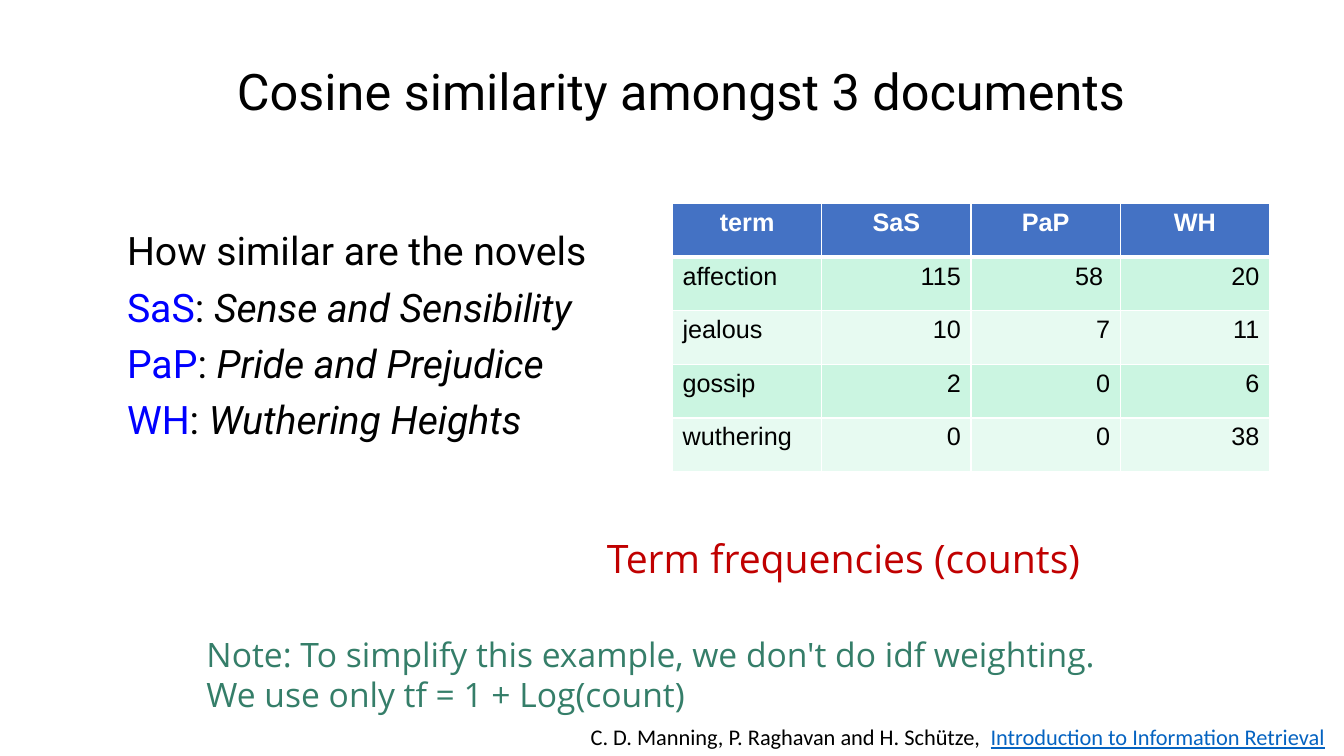
"""Build the slide on cosine similarity amongst three novels."""
from dataclasses import dataclass

from lxml.etree import SubElement
from pptx import Presentation
from pptx.dml.color import RGBColor
from pptx.enum.text import MSO_ANCHOR, MSO_AUTO_SIZE, PP_ALIGN
from pptx.oxml.ns import qn
from pptx.util import Inches, Pt


@dataclass(frozen=True)
class Theme:
    black: str = "000000"
    white: str = "FFFFFF"
    blue: str = "0000FF"
    red: str = "C00000"
    green: str = "357E69"
    link: str = "0563C1"
    head: str = "4472C4"
    dark: str = "CBF5E1"
    pale: str = "E7FAF1"
    main: str = "Roboto"
    side: str = "Open Sans"
    grid: str = "Arial"
    foot: str = "Calibri"
    title: int = 36
    body: int = 28
    note: int = 24
    cell: int = 18
    small: int = 16


@dataclass(frozen=True)
class Box:
    left: float
    top: float
    width: float
    height: float

    def place(self) -> tuple:
        return tuple(map(Inches, (self.left, self.top, self.width, self.height)))


@dataclass(frozen=True)
class Label:
    box: Box
    lines: tuple
    size: int
    face: str
    color: str


@dataclass(frozen=True)
class Novel:
    code: str
    name: str


THEME = Theme()
NOVELS = (
    Novel("SaS", "Sense and Sensibility"),
    Novel("PaP", "Pride and Prejudice"),
    Novel("WH", "Wuthering Heights"),
)
COUNTS = (
    ("term", *(novel.code for novel in NOVELS)),
    ("affection", "115", "58 ", "20"),
    ("jealous", "10", "7", "11"),
    ("gossip", "2", "0", "6"),
    ("wuthering", "0", "0", "38"),
)
LABELS = (
    Label(Box(5.92, 5.25, 5.19, 0.57), ("Term frequencies (counts)",),
          THEME.body, THEME.side, THEME.red),
    Label(Box(1.95, 6.24, 9.7, 0.91),
          ("Note: To simplify this example, we don't do idf weighting.",
           "We use only tf = 1 + Log(count)"),
          THEME.note, THEME.side, THEME.green),
    Label(Box(5.76, 7.13, 7.57, 0.37),
          ("C. D. Manning, P. Raghavan and H. Schütze,  ",),
          THEME.small, THEME.foot, THEME.black),
)


def write(para, text: str, *, size: int, face: str, color: str = THEME.black,
          bold: bool = False, italic: bool = False, under: bool = False) -> None:
    run = para.add_run()
    run.text = text
    font = run.font
    font.size, font.name = Pt(size), face
    font.bold, font.italic, font.underline = bold, italic, under
    font.color.rgb = RGBColor.from_string(color)


def move(shape, box: Box) -> None:
    shape.left, shape.top, shape.width, shape.height = box.place()
    shape.text_frame.auto_size = MSO_AUTO_SIZE.NONE


def add_title(slide) -> None:
    shape = slide.shapes.title
    move(shape, Box(2.25, 0.3, 9.42, 1.27))
    shape.text_frame.vertical_anchor = MSO_ANCHOR.MIDDLE
    para = shape.text_frame.paragraphs[0]
    para.alignment, para.line_spacing = PP_ALIGN.LEFT, 0.9
    write(para, "Cosine similarity amongst 3 documents",
          size=THEME.title, face=THEME.main)


def add_list(slide) -> None:
    shape = slide.placeholders[1]
    move(shape, Box(1.16, 2.25, 6.14, 5.13))
    frame = shape.text_frame
    style = {"size": THEME.body, "face": THEME.main}
    write(frame.paragraphs[0], "How similar are the novels", **style)
    for novel in NOVELS:
        para = frame.add_paragraph()
        write(para, novel.code, color=THEME.blue, **style)
        write(para, ": ", **style)
        write(para, novel.name, italic=True, **style)
    for index, para in enumerate(frame.paragraphs):
        props = para._p.get_or_add_pPr()
        props.set("marL", "0")
        props.set("indent", "0")
        SubElement(props, qn("a:buNone"))
        para.line_spacing = 0.9
        para.space_before = Pt(10 if index else 0)


def add_edges(cell, row: int) -> None:
    widths = {"L": 1, "R": 1, "T": 3 if row == 1 else 1, "B": 1 if row else 3}
    props = cell._tc.get_or_add_tcPr()
    for side, width in widths.items():
        line = SubElement(props, qn(f"a:ln{side}"), w=str(Pt(width)))
        fill = SubElement(line, qn("a:solidFill"))
        SubElement(fill, qn("a:srgbClr"), val=THEME.white)


def add_counts(slide) -> None:
    box = Box(6.67, 2.02, 5.92, 2.66)
    rows, cols = len(COUNTS), len(COUNTS[0])
    table = slide.shapes.add_table(rows, cols, *box.place()).table
    for col in table.columns:
        col.width = Inches(box.width / cols)
    for line in table.rows:
        line.height = Inches(box.height / rows)
    for row, values in enumerate(COUNTS):
        head = row == 0
        shade = THEME.head if head else THEME.dark if row % 2 else THEME.pale
        for col, value in enumerate(values):
            cell = table.cell(row, col)
            add_edges(cell, row)
            cell.fill.solid()
            cell.fill.fore_color.rgb = RGBColor.from_string(shade)
            para = cell.text_frame.paragraphs[0]
            para.alignment = (PP_ALIGN.CENTER if head else
                              PP_ALIGN.RIGHT if col else PP_ALIGN.LEFT)
            write(para, value, size=THEME.cell, face=THEME.grid, bold=head,
                  color=THEME.white if head else THEME.black)


def add_label(slide, label: Label):
    frame = slide.shapes.add_textbox(*label.box.place()).text_frame
    frame.word_wrap = False
    frame.auto_size = MSO_AUTO_SIZE.SHAPE_TO_FIT_TEXT
    for index, text in enumerate(label.lines):
        para = frame.add_paragraph() if index else frame.paragraphs[0]
        write(para, text, size=label.size, face=label.face, color=label.color)
    return para


def main() -> None:
    deck = Presentation()
    deck.slide_width, deck.slide_height = Inches(13.33), Inches(7.5)
    slide = deck.slides.add_slide(deck.slide_layouts[1])
    add_title(slide)
    add_counts(slide)
    add_list(slide)
    for label in LABELS:
        para = add_label(slide, label)
    write(para, "Introduction to Information Retrieval", size=THEME.small,
          face=THEME.foot, color=THEME.link, under=True)
    deck.save("out.pptx")


if __name__ == "__main__":
    main()
